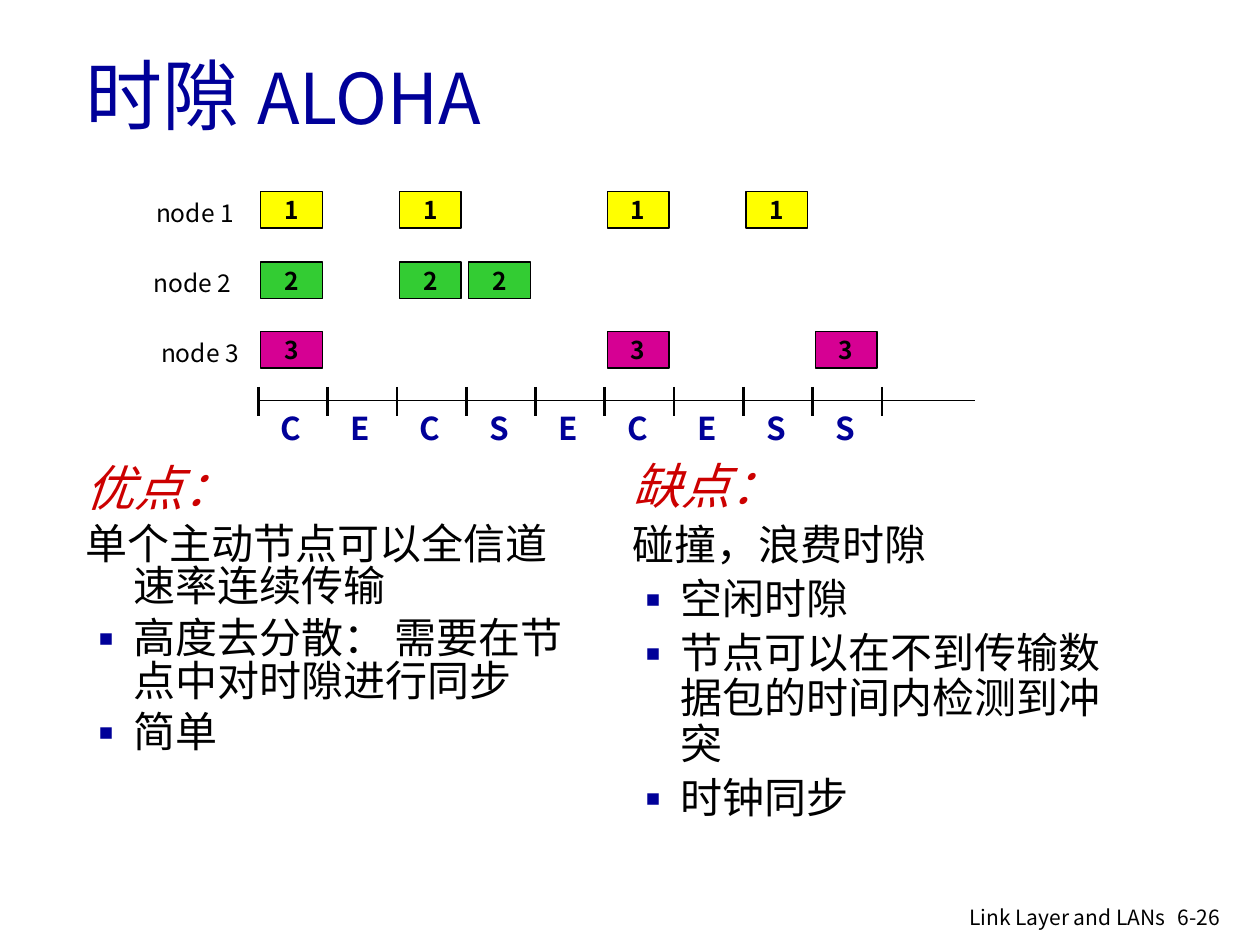
from lxml import etree
from pptx import Presentation
from pptx.dml.color import RGBColor
from pptx.enum.shapes import MSO_CONNECTOR, MSO_SHAPE
from pptx.enum.text import MSO_ANCHOR, PP_ALIGN
from pptx.oxml.ns import qn
from pptx.util import Inches, Pt

LEFT, CENTER, RIGHT = PP_ALIGN.LEFT, PP_ALIGN.CENTER, PP_ALIGN.RIGHT
MIDDLE = MSO_ANCHOR.MIDDLE
RECTANGLE = MSO_SHAPE.RECTANGLE
STRAIGHT = MSO_CONNECTOR.STRAIGHT
FONT = "Noto Sans CJK SC"
NAVY, RED, BLACK = "000099", "CC0000", "000000"


def style(para, size, color, bold=False, italic=False, align=LEFT):
    para.alignment = align
    for span in para.runs:
        span.font.size = Pt(size)
        span.font.bold = bold
        span.font.italic = italic
        span.font.color.rgb = RGBColor.from_string(color)
        span.font.name = FONT
        etree.SubElement(span.font._element, qn("a:ea"), typeface=FONT)


def add_text(page, text, left, top, width, height, size, color, bold=False, align=LEFT):
    box = page.shapes.add_textbox(Inches(left), Inches(top), Inches(width), Inches(height))
    box.text_frame.word_wrap = True
    box.text_frame.text = text
    style(box.text_frame.paragraphs[0], size, color, bold, align=align)
    return box


deck = Presentation()
deck.slide_width, deck.slide_height = Inches(10), Inches(7.5)
page = deck.slides.add_slide(deck.slide_layouts[5])

title = page.shapes.title
title.left, title.top = Inches(0.58), Inches(0.12)
title.width, title.height = Inches(5.42), Inches(1.25)
title.text_frame.vertical_anchor = MIDDLE
heading = title.text_frame.paragraphs[0]
for words in ("时隙 ", "ALOHA"):
    heading.add_run().text = words
style(heading, 44, NAVY)
heading.runs[1].font.size = Pt(40)

columns = [
    (0.58, 3.65, 0.85, "优点：", "单个主动节点可以全信道速率连续传输",
     ["高度去分散： 需要在节点中对时隙进行同步", "简单"]),
    (4.92, 3.62, 0.9, "缺点：", "碰撞，浪费时隙",
     ["空闲时隙", "节点可以在不到传输数据包的时间内检测到冲突", "时钟同步"]),
]
for left, top, spacing, heading_text, lead, points in columns:
    box = add_text(page, heading_text, left, top, 4.17, 3.5, 28, RED)
    style_lines = [lead] + points
    for line in style_lines:
        para = box.text_frame.add_paragraph()
        para.text = line
        style(para, 24, BLACK)
    for index, para in enumerate(box.text_frame.paragraphs):
        para.line_spacing = spacing
        para.space_before = Pt(5)
        properties = para._p.get_or_add_pPr()
        properties.set("marL", str(Inches(0.38)))
        properties.set("indent", str(-Inches(0.38)))
        if index > 1:
            bullet_color = etree.SubElement(properties, qn("a:buClr"))
            etree.SubElement(bullet_color, qn("a:srgbClr"), val=NAVY)
            etree.SubElement(properties, qn("a:buFont"), typeface=FONT)
            etree.SubElement(properties, qn("a:buChar"), char="▪")
    box.text_frame.paragraphs[0].runs[0].font.italic = True

axis_left, slot_width = 2.05, 0.55
nodes = [
    ("1", 1.14, 1.52, "FFFF00", [0, 2, 5, 7]),
    ("2", 1.12, 2.08, "33CC33", [0, 2, 3]),
    ("3", 1.18, 2.63, "D60093", [0, 5, 8]),
]
for number, label_left, top, color, slots in nodes:
    add_text(page, f"node {number}", label_left, top, 0.86, 0.34, 14, BLACK)
    for slot in slots:
        packet = page.shapes.add_shape(
            RECTANGLE, Inches(axis_left + 0.02 + slot * slot_width), Inches(top),
            Inches(0.49), Inches(0.29))
        packet.shadow.inherit = False
        packet.fill.solid()
        packet.fill.fore_color.rgb = RGBColor.from_string(color)
        packet.line.color.rgb = RGBColor.from_string(BLACK)
        packet.line.width = Pt(0.75)
        frame = packet.text_frame
        frame.margin_top = frame.margin_bottom = 0
        frame.vertical_anchor = MIDDLE
        frame.text = number
        style(frame.paragraphs[0], 14, BLACK, bold=True, align=CENTER)

lines = [(axis_left, 3.18, 7.74, 3.18, 0.75)]
for tick in range(10):
    x = axis_left + tick * slot_width
    lines.append((x, 3.07, x, 3.3, 1.5))
for x1, y1, x2, y2, weight in lines:
    line = page.shapes.add_connector(STRAIGHT, Inches(x1), Inches(y1), Inches(x2), Inches(y2))
    line.line.color.rgb = RGBColor.from_string(BLACK)
    line.line.width = Pt(weight)
    etree.SubElement(line._element.spPr, qn("a:effectLst"))

for slot, outcome in enumerate("CECSECESS"):
    box = add_text(page, outcome, axis_left + 0.07 + slot * slot_width, 3.2, 0.38, 0.4,
                   18, NAVY, bold=True, align=CENTER)
    box.text_frame.margin_left = box.text_frame.margin_right = 0

add_text(page, "6-26", 9.25, 7.13, 0.6, 0.3, 12, BLACK)
add_text(page, "Link Layer and LANs", 6.97, 7.13, 2.38, 0.26, 12, BLACK, align=RIGHT)

deck.save("out.pptx")
